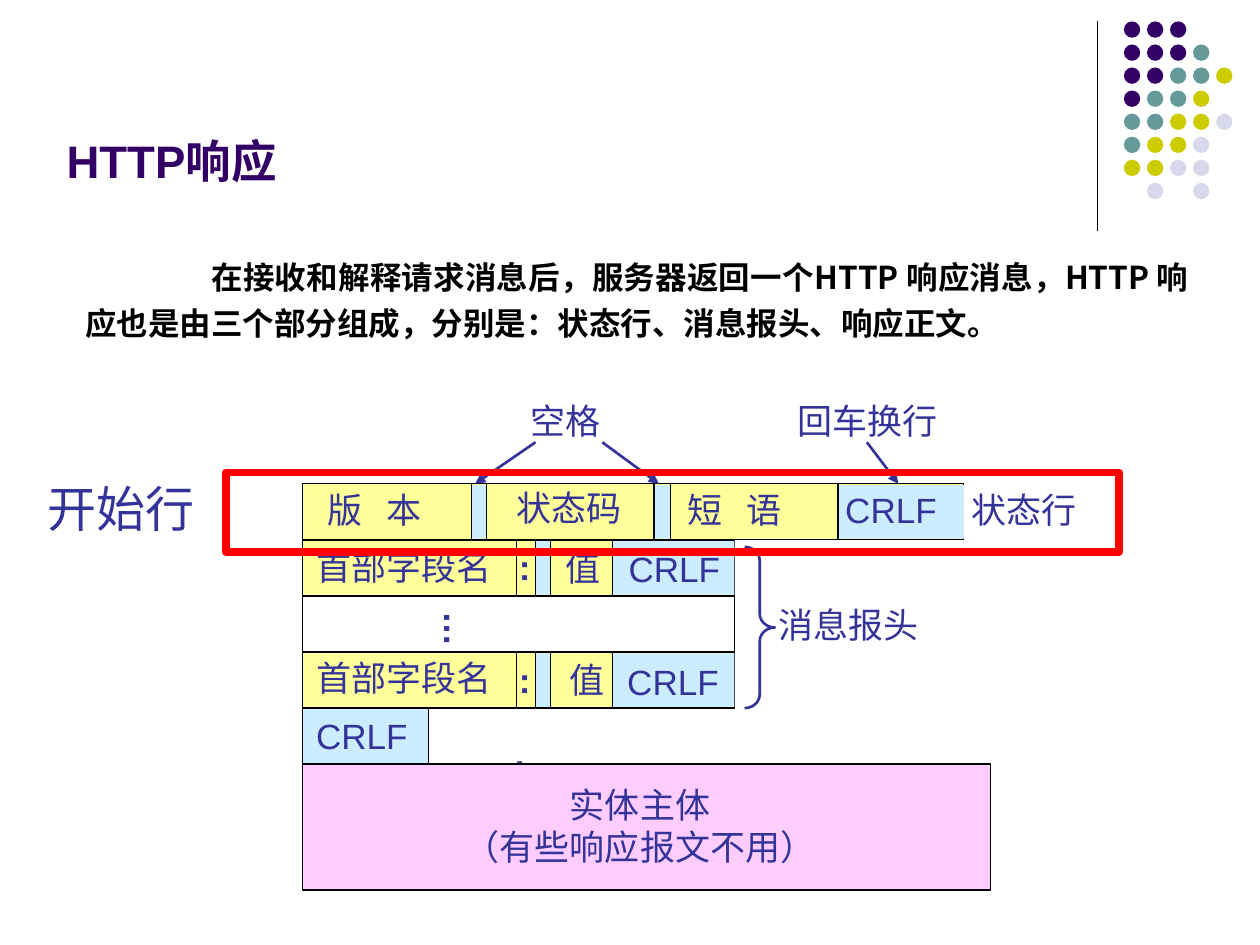
import pptx
import pptx.util
import pptx.dml.color
import pptx.enum.shapes
import pptx.enum.text
import pptx.oxml.ns
from lxml import etree

Inches = pptx.util.Inches
SHAPES = pptx.enum.shapes.MSO_SHAPE
ALIGN = pptx.enum.text.PP_ALIGN
ANCHOR = pptx.enum.text.MSO_ANCHOR
AUTO_SIZE = pptx.enum.text.MSO_AUTO_SIZE
qn = pptx.oxml.ns.qn

CJK = "Noto Sans CJK SC"
INK, BLACK, RED = "333399", "000000", "FF0000"
YELLOW, BLUE, PINK = "FFFF99", "CCECFF", "FFCCFF"

DOT_ROWS = ["PPP", "PPPT", "PPTTY", "PTTY", "TTYYL", "TYYL", "YYLL", " L L"]
DOT_COLORS = {"P": "330066", "T": "669999", "Y": "CCCC00", "L": "D8D8EC"}
DOT_LEFT, DOT_TOP, DOT_STEP, DOT_SIZE = 8.92, 0.17, 0.183, 0.13

TITLE = "HTTP响应"
BODY = ("在接收和解释请求消息后，服务器返回一个HTTP 响应消息，HTTP "
        "响应也是由三个部分组成，分别是：状态行、消息报头、响应正文。")

LEFT, TOP, ROW = 2.4, 3.84, 0.445
HEADER_RIGHT, STATUS_RIGHT = 5.83, 7.65
BANDS = [(0, STATUS_RIGHT), (1, HEADER_RIGHT), (3, HEADER_RIGHT)]
HEADER_CELLS = [(4.25, 4.37), (4.86, HEADER_RIGHT)]
BLUE_CELLS = {
    0: [(3.74, 3.86), (5.19, 5.32), (6.65, STATUS_RIGHT)],
    1: HEADER_CELLS,
    3: HEADER_CELLS,
    4: [(LEFT, 3.4)],
}
HEADER_DIVIDERS = [4.1, 4.25, 4.37, 4.86]
DIVIDERS = {
    0: [3.74, 3.86, 5.19, 5.32, 6.65],
    1: HEADER_DIVIDERS,
    2: [LEFT, HEADER_RIGHT],
    3: HEADER_DIVIDERS,
    4: [LEFT, 3.4],
}
LABELS = [
    ("状态码", 4, 3.81, 1.03),
    ("首部字段名", 2.41, 4.28, 1.59),
    ("值", 4.39, 4.29, 0.48),
    ("CRLF", 4.89, 4.3, 0.92),
    ("首部字段名", 2.41, 5.16, 1.59),
    ("值", 4.42, 5.18, 0.48),
    ("CRLF", 4.88, 5.19, 0.93),
    ("CRLF", 2.41, 5.62, 0.92),
    ("CRLF", 6.61, 3.83, 0.92),
    ("状态行", 7.61, 3.83, 1.03),
    ("消息报头", 6.08, 4.74, 1.31),
    ("空格", 4.11, 3.12, 0.75),
    ("回车换行", 6.23, 3.12, 1.31),
]
SPACED_LABELS = [("版 本", 2.5), ("短 语", 5.36)]
COLONS = [(4.02, 4.28), (4.02, 5.18), (3.98, 5.86)]
PAYLOAD = ["实体主体", "（有些响应报文不用）"]
ARROWS = [(4.78, 5.23), (4.25, 3.77), (6.88, 7.13)]


def color(value):
    return pptx.dml.color.RGBColor.from_string(value)


def add_box(slide, kind, left, top, width, height, fill=None, line=None, weight=0.75):
    shape = slide.shapes.add_shape(
        kind, Inches(left), Inches(top), Inches(width), Inches(height))
    shape.shadow.inherit = False
    if fill:
        shape.fill.solid()
        shape.fill.fore_color.rgb = color(fill)
    else:
        shape.fill.background()
    if line:
        shape.line.color.rgb = color(line)
        shape.line.width = pptx.util.Pt(weight)
    else:
        shape.line.fill.background()
    return shape


def add_line(slide, start, end, line=BLACK, weight=0.75, arrow=False):
    connector = slide.shapes.add_connector(
        pptx.enum.shapes.MSO_CONNECTOR.STRAIGHT, *map(Inches, (*start, *end)))
    connector.line.color.rgb = color(line)
    connector.line.width = pptx.util.Pt(weight)
    if arrow:
        etree.SubElement(connector.line._get_or_add_ln(), qn("a:tailEnd"), type="triangle")
    etree.SubElement(connector._element.spPr, qn("a:effectLst"))


def add_text(slide, lines, left, top, width, height=0.44, size=20, font="Arial",
             ink=INK, bold=False, align=ALIGN.LEFT, right_margin=0, spacing=0):
    shape = slide.shapes.add_textbox(
        Inches(left), Inches(top), Inches(width), Inches(height))
    frame = shape.text_frame
    frame.word_wrap = True
    frame.auto_size = AUTO_SIZE.NONE
    frame.margin_right = Inches(right_margin)
    for index, text in enumerate(lines):
        paragraph = frame.add_paragraph() if index else frame.paragraphs[0]
        paragraph.alignment = align
        run = paragraph.add_run()
        run.text = text
        run.font.size = pptx.util.Pt(size)
        run.font.name = font
        run.font.bold = bold
        run.font.color.rgb = color(ink)
        properties = run.font._element
        etree.SubElement(properties, qn("a:ea"), typeface=CJK)
        if spacing:
            properties.set("spc", str(spacing))
    return shape


def row_top(row):
    return TOP + row * ROW


def draw_dots(slide):
    add_line(slide, (8.71, 0.17), (8.71, 1.83))
    for row, codes in enumerate(DOT_ROWS):
        for column, code in enumerate(codes):
            if code in DOT_COLORS:
                add_box(slide, SHAPES.OVAL, DOT_LEFT + column * DOT_STEP,
                        DOT_TOP + row * DOT_STEP, DOT_SIZE, DOT_SIZE, DOT_COLORS[code])


def draw_heading(slide):
    title = add_text(slide, [TITLE], 0.43, 0.75, 8.25, 0.79, size=26,
                     ink="330066", bold=True)
    title.text_frame.vertical_anchor = ANCHOR.BOTTOM
    body = add_text(slide, [BODY], 0.2, 1.94, 9.33, 0.95, size=18, font=CJK,
                    ink=BLACK, bold=True, align=ALIGN.JUSTIFY, right_margin=0.1)
    paragraph = body.text_frame.paragraphs[0]
    paragraph.line_spacing = 1.2
    paragraph.space_before = pptx.util.Pt(4.5)
    properties = paragraph._p.get_or_add_pPr()
    properties.set("marL", str(Inches(0.38)))
    properties.set("indent", str(Inches(1)))


def draw_message(slide):
    for row, right in BANDS:
        add_box(slide, SHAPES.RECTANGLE, LEFT, row_top(row), right - LEFT, ROW, YELLOW, BLACK)
    for row, cells in BLUE_CELLS.items():
        for left, right in cells:
            add_box(slide, SHAPES.RECTANGLE, left, row_top(row) + 0.01,
                    right - left, ROW - 0.02, BLUE)
    for row, positions in DIVIDERS.items():
        for x in positions:
            add_line(slide, (x, row_top(row)), (x, row_top(row + 1)))
    for text, left, top, width in LABELS:
        add_text(slide, [text], left, top, width)
    for text, left in SPACED_LABELS:
        add_text(slide, [text], left, 3.83, 1.17, spacing=450)
    for left, top in COLONS:
        add_text(slide, [":"], left, top, 0.29, bold=True)
    add_text(slide, ["…"], 3.22, 4.77, 0.48, bold=True).rotation = 270
    brace = add_box(slide, SHAPES.RIGHT_BRACE, 5.91, 4.34, 0.24, 1.28, line=INK, weight=1.5)
    brace.adjustments[0] = 0.45
    add_box(slide, SHAPES.RECTANGLE, LEFT, row_top(5), 5.46, 1, PINK, BLACK)
    add_text(slide, PAYLOAD, 3.54, 6.17, 3.08, 0.77, align=ALIGN.CENTER, right_margin=0.1)
    for start, end in ARROWS:
        add_line(slide, (start, 3.51), (end, TOP), INK, 1.5, arrow=True)


def draw_highlight(slide):
    add_box(slide, SHAPES.RECTANGLE, 1.79, 3.75, 7.09, 0.63, line=RED, weight=4.5)
    add_text(slide, ["开始行"], 0.28, 3.75, 1.36, 0.57, size=28, font="Lato")


def main():
    presentation = pptx.Presentation()
    presentation.slide_width = Inches(10)
    presentation.slide_height = Inches(7.5)
    slide = presentation.slides.add_slide(presentation.slide_layouts[6])
    draw_dots(slide)
    draw_heading(slide)
    draw_message(slide)
    draw_highlight(slide)
    presentation.save("out.pptx")


if __name__ == "__main__":
    main()
